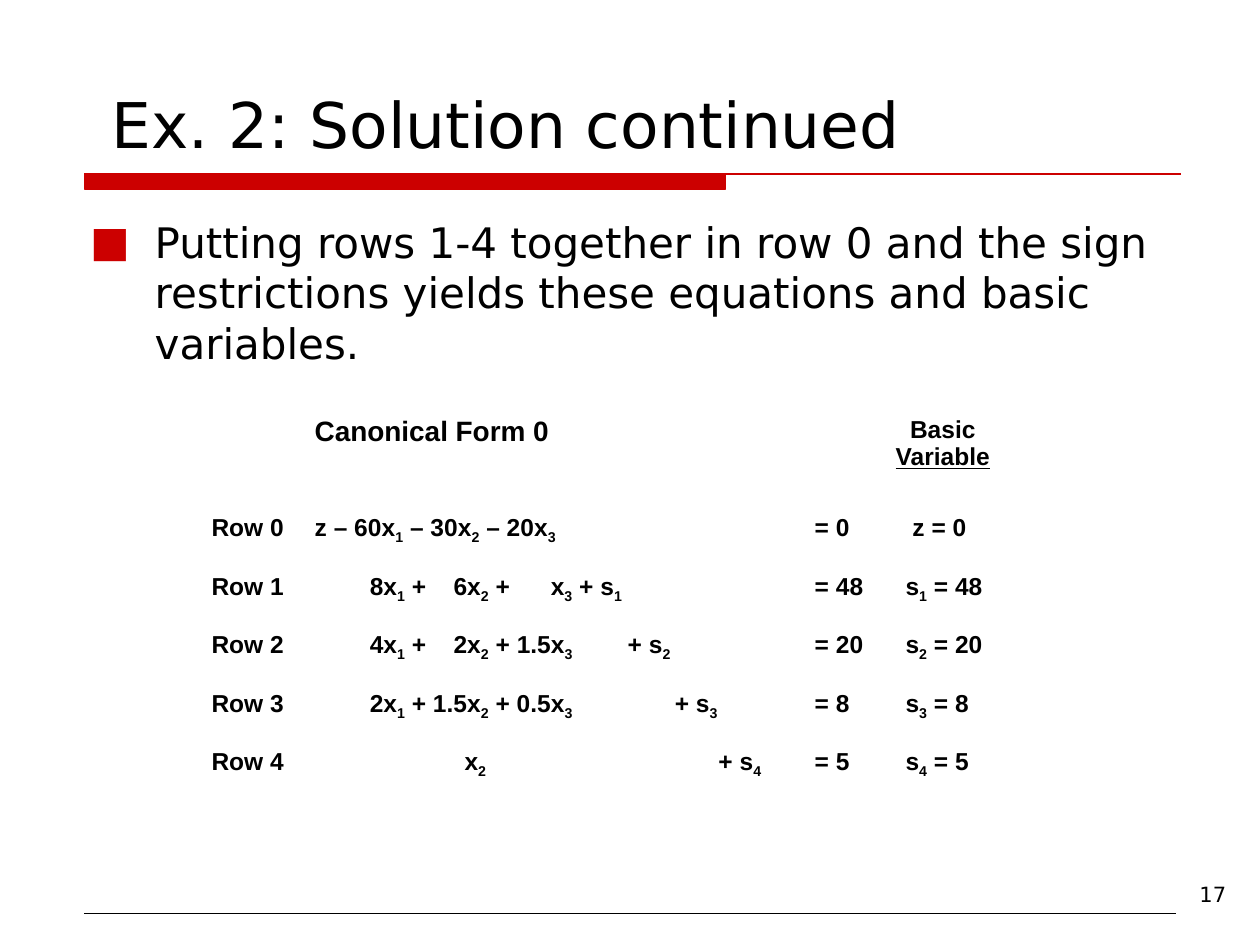
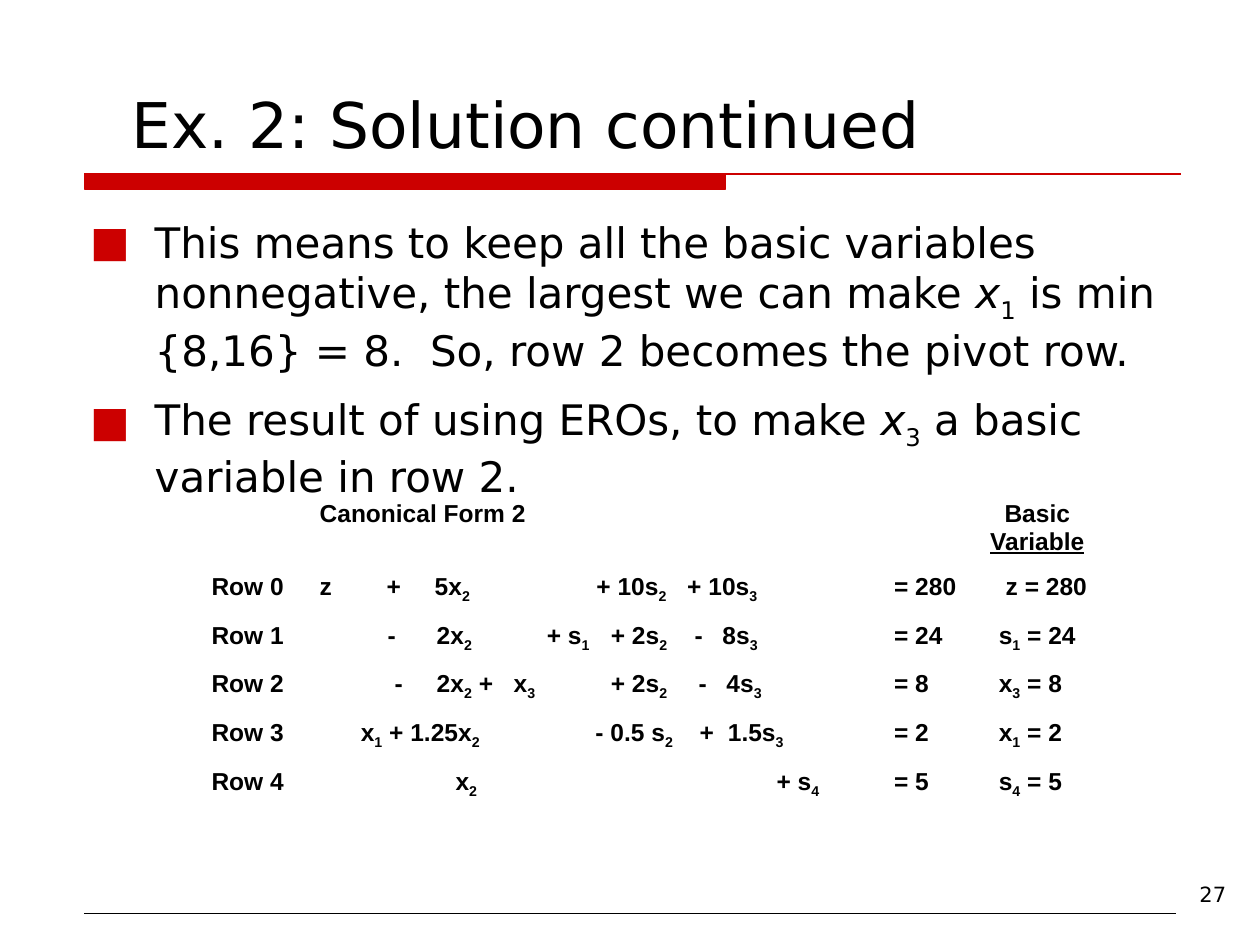
from lxml.etree import SubElement
from pptx import Presentation
from pptx.dml.color import RGBColor
from pptx.enum.shapes import MSO_CONNECTOR
from pptx.enum.text import MSO_ANCHOR, PP_ALIGN
from pptx.oxml.ns import qn
from pptx.util import Cm, Pt

BLACK, RED = "000000", "CC0000"
TEXT_FONT, TABLE_FONT = "DejaVu Sans", "Arial"

# Boxes shared by both slides: left, top, width, height in cm
BAND = (1.7, 3.51, 22.1, 0.3)
TITLE = (1.6, 0.64, 22.23, 2.74)
BODY = (1.57, 4.24, 22.23, 13.54)
PAGE_NUMBER = (23.93, 17.65, 1.35, 0.76)
FOOTER_RULE = (1.7, 18.42, 22)


def color(hex_string):
    return RGBColor.from_string(hex_string)


def add_run(paragraph, text, size, font=TEXT_FONT, bold=False,
            italic=False, underline=False, subscript=False):
    run = paragraph.add_run()
    run.text = text
    run.font.size, run.font.name = Pt(size), font
    run.font.bold, run.font.italic, run.font.underline = bold, italic, underline
    run.font.color.rgb = color(BLACK)
    if subscript:
        run.font._element.set("baseline", "-25000")


def add_math(paragraph, text, size, **style):
    """Add runs: *x* is italic, and the character after _ is a subscript."""
    for index, span in enumerate(text.split("*")):
        plain, *indexed = span.split("_")
        pieces = [(plain, False)]
        for part in indexed:
            pieces += [(part[0], True), (part[1:], False)]
        for piece, subscript in pieces:
            if piece:
                add_run(paragraph, piece, size, italic=index % 2 == 1,
                        subscript=subscript, **style)


def set_indent(paragraph, left, first=0):
    properties = paragraph._p.get_or_add_pPr()
    properties.set("marL", str(Cm(left)))
    properties.set("indent", str(Cm(first)))
    return properties


def add_text_box(slide, box):
    frame = slide.shapes.add_textbox(*map(Cm, box)).text_frame
    frame.word_wrap = True
    return frame


# Red band, footer rule and page number
def add_frame(slide, page):
    left, top, width, height = BAND
    thick = left + 12.93
    builder = slide.shapes.build_freeform(Cm(left), Cm(top))
    builder.add_line_segments([(Cm(thick), Cm(top)), (Cm(thick), Cm(top + height)),
                               (Cm(left), Cm(top + height))], close=True)
    builder.move_to(Cm(left), Cm(top))
    builder.add_line_segments([(Cm(left + width), Cm(top))], close=False)
    band = builder.convert_to_shape()
    band.shadow.inherit = False
    band.fill.solid()
    band.fill.fore_color.rgb = band.line.color.rgb = color(RED)
    band.line.width = Pt(0.75)

    left, top, width = FOOTER_RULE
    rule = slide.shapes.add_connector(MSO_CONNECTOR.STRAIGHT, Cm(left), Cm(top),
                                      Cm(left + width), Cm(top))
    rule.line.color.rgb = color(BLACK)
    rule.line.width = Pt(0.75)
    SubElement(rule._element.spPr, qn("a:effectLst"))

    add_run(add_text_box(slide, PAGE_NUMBER).paragraphs[0], page, 12)


def add_title(slide, indent):
    frame = add_text_box(slide, TITLE)
    frame.vertical_anchor = MSO_ANCHOR.BOTTOM
    heading = frame.paragraphs[0]
    set_indent(heading, indent)
    add_run(heading, "Ex. 2: Solution continued", 36)


def add_bullets(slide, points):
    frame = add_text_box(slide, BODY)
    for index, text in enumerate(points):
        point = frame.add_paragraph() if index else frame.paragraphs[0]
        if index:
            point.space_before = Pt(10.8)
        properties = set_indent(point, 1.3, -1.3)
        bullet_color = SubElement(properties, qn("a:buClr"))
        SubElement(bullet_color, qn("a:srgbClr"), val=RED)
        SubElement(properties, qn("a:buFont"), typeface=TEXT_FONT)
        SubElement(properties, qn("a:buChar"), char="■")
        add_math(point, text, 24)


def fill_terms(cell, terms):
    """Write (position in cm, text) terms, each at its own tab stop."""
    equation = cell.text_frame.paragraphs[0]
    stops = [position for position, _ in terms if position]
    if stops:
        tabs = SubElement(equation._p.get_or_add_pPr(), qn("a:tabLst"))
        for stop in stops:
            SubElement(tabs, qn("a:tab"), pos=str(Cm(stop)), algn="l")
    for position, text in terms:
        add_math(equation, "\t" + text if position else text, 14,
                 font=TABLE_FONT, bold=True)


def add_canonical_form(slide, top, widths, header_height, row_height,
                       heading, heading_size, value_indent, equations):
    height = header_height + row_height * len(equations)
    table = slide.shapes.add_table(len(equations) + 1, len(widths), Cm(4.01), Cm(top),
                                   Cm(sum(widths)), Cm(height)).table
    table.first_row = table.horz_banding = False
    for column, width in zip(table.columns, widths):
        column.width = Cm(width)
    for index, row in enumerate(table.rows):
        row.height = Cm(row_height if index else header_height)
    for cell in table.iter_cells():
        cell.fill.background()

    # Headings
    add_run(table.cell(0, 1).text_frame.paragraphs[0], heading, heading_size,
            TABLE_FONT, bold=True)
    basic = table.cell(0, 3).text_frame.paragraphs[0]
    basic.alignment = PP_ALIGN.CENTER
    add_run(basic, "Basic ", 14, TABLE_FONT, bold=True)
    add_run(basic, "Variable", 14, TABLE_FONT, bold=True, underline=True)

    # Label, left side, right side and basic variable of each equation
    for index, (terms, variable, value) in enumerate(equations):
        basic_indent = 0.28 if index else 0.42
        contents = ([(0, f"Row {index}")], terms, [(value_indent, f"= {value}")],
                    [(basic_indent, f"{variable} = {value}")])
        for column, content in enumerate(contents):
            fill_terms(table.cell(index + 1, column), content)


FORM_0 = [
    ([(0, "z – 60x_1 – 30x_2 – 20x_3")], "z", 0),
    ([(1.11, "8x_1 +"), (2.8, "6x_2 +"), (4.76, "x_3 + s_1")], "s_1", 48),
    ([(1.11, "4x_1 +"), (2.8, "2x_2 + 1.5x_3"), (6.31, "+ s_2")], "s_2", 20),
    ([(1.11, "2x_1 + 1.5x_2 + 0.5x_3"), (7.26, "+ s_3")], "s_3", 8),
    ([(3.02, "x_2"), (8.14, "+ s_4")], "s_4", 5),
]
FORM_2 = [
    ([(0, "z"), (1.35, "+"), (2.32, "5x_2"), (5.58, "+ 10s_2"),
      (7.41, "+ 10s_3")], "z", 280),
    ([(1.37, "-"), (2.36, "2x_2"), (4.58, "+ s_1"), (5.87, "+ 2s_2"),
      (7.56, "-"), (8.12, "8s_3")], "s_1", 24),
    ([(1.51, "-"), (2.36, "2x_2 +"), (3.91, "x_3"), (5.87, "+ 2s_2"),
      (7.64, "-"), (8.2, "4s_3")], "x_3", 8),
    ([(0.83, "x_1 + 1.25x_2"), (5.56, "- 0.5 s_2"), (7.66, "+"),
      (8.23, "1.5s_3")], "x_1", 2),
    ([(2.74, "x_2"), (9.21, "+ s_4")], "s_4", 5),
]


def add_solution_slide(deck, page, title_indent, points, **form):
    slide = deck.slides.add_slide(deck.slide_layouts[6])
    add_frame(slide, page)
    add_title(slide, title_indent)
    add_bullets(slide, points)
    add_canonical_form(slide, **form)


def main():
    deck = Presentation()
    deck.slide_width, deck.slide_height = Cm(25.4), Cm(19.05)
    add_solution_slide(
        deck, "17", 0.4,
        ["Putting rows 1-4 together in row 0 and the sign restrictions yields "
         "these equations and basic variables."],
        top=8.26, widths=(2.08, 10.08, 1.55, 2.57), header_height=1.98,
        row_height=1.18, heading="Canonical Form 0", heading_size=16,
        value_indent=0, equations=FORM_0)
    add_solution_slide(
        deck, "27", 0.8,
        ["This means to keep all the basic variables nonnegative, the largest we "
         "can make *x*_1 is min {8,16} = 8.  So, row 2 becomes the pivot row.",
         "The result of using EROs, to make *x*_3 a basic variable in row 2."],
        top=9.96, widths=(2.18, 11.3, 2.11, 2.62), header_height=1.47,
        row_height=0.98, heading="Canonical Form 2", heading_size=14,
        value_indent=0.28, equations=FORM_2)
    deck.save("out.pptx")


if __name__ == "__main__":
    main()
